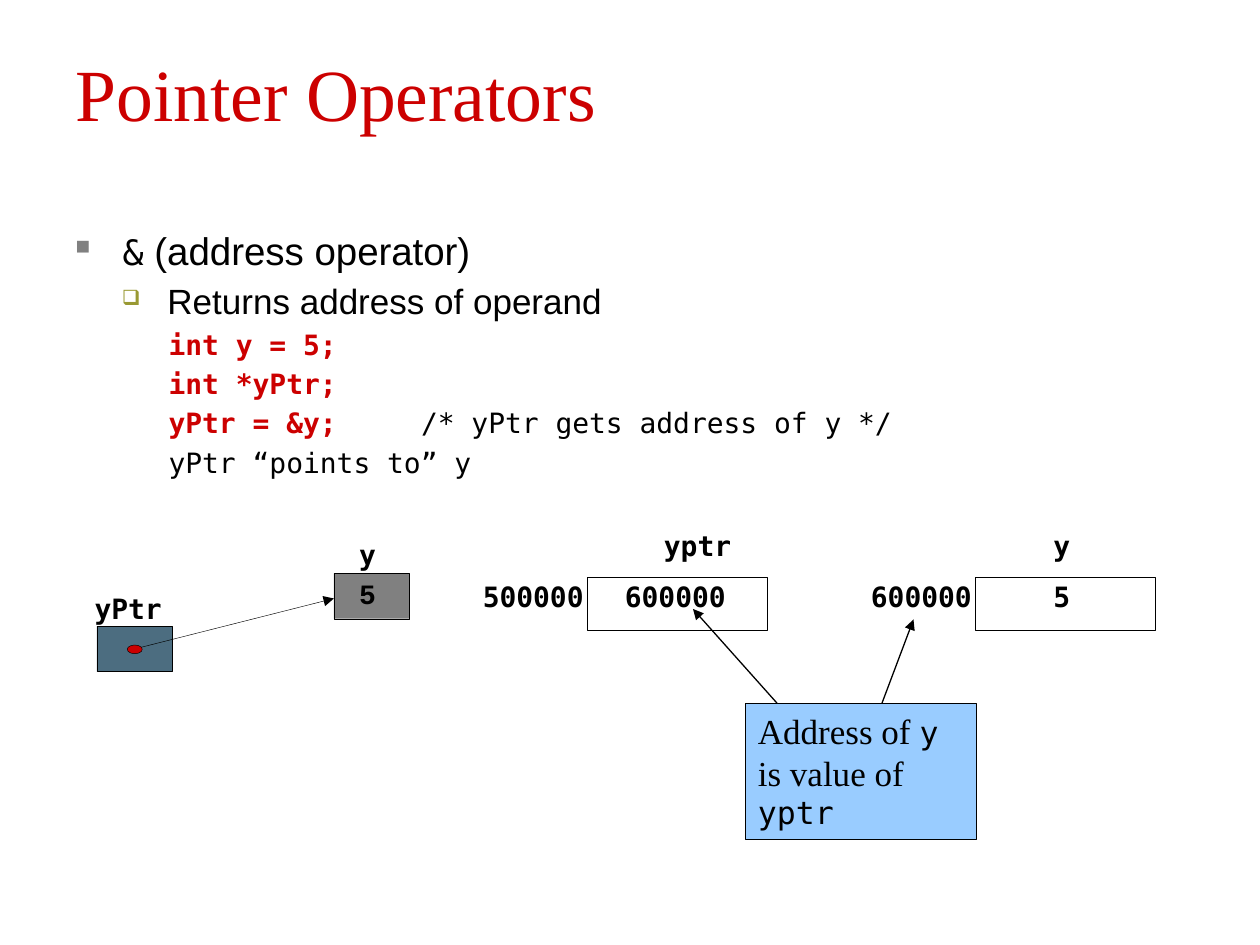
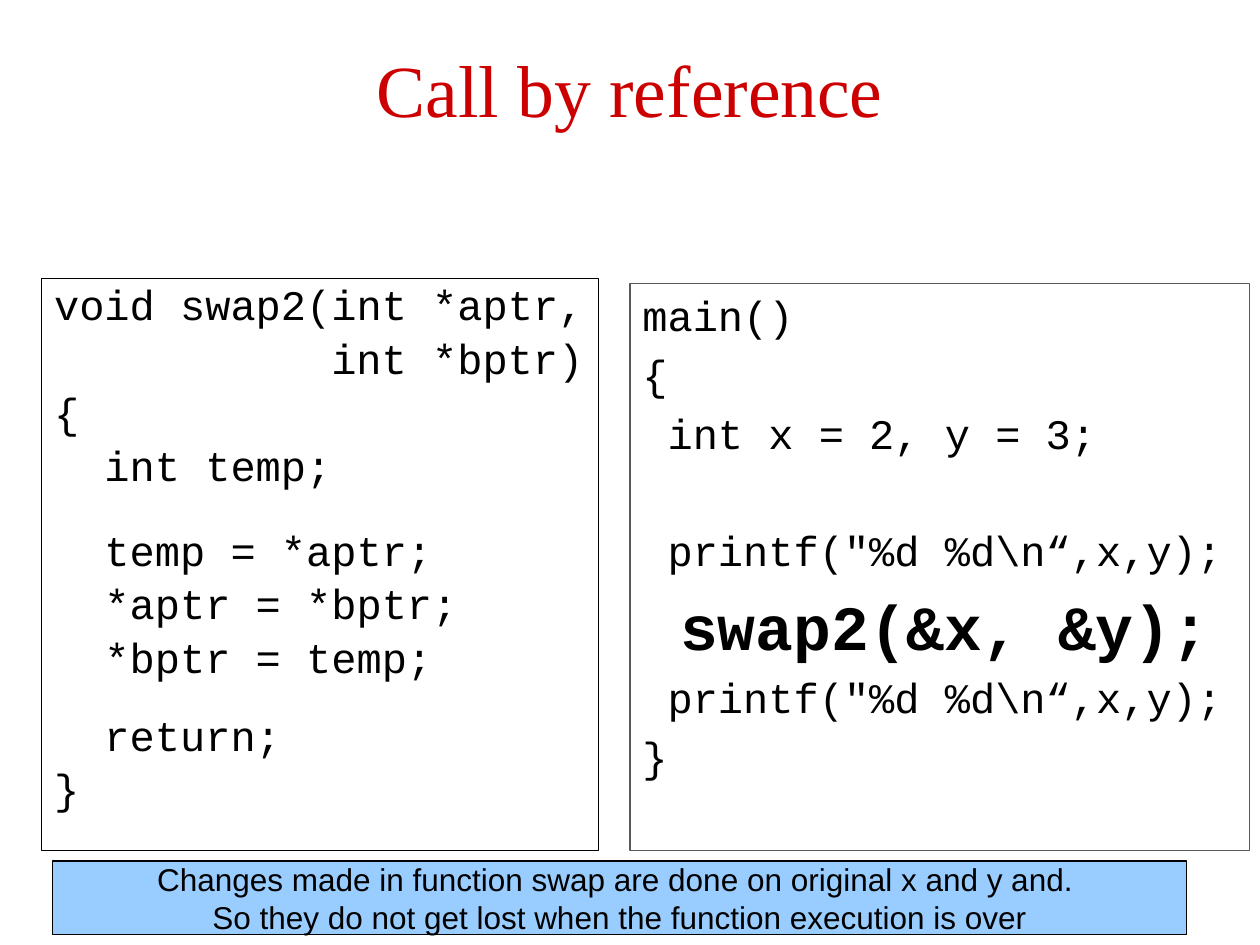
from dataclasses import dataclass
from typing import Optional

from lxml import etree
from pptx import Presentation
from pptx.dml.color import RGBColor
from pptx.enum.shapes import MSO_CONNECTOR, MSO_SHAPE
from pptx.enum.text import MSO_ANCHOR, PP_ALIGN
from pptx.oxml.ns import qn
from pptx.util import Pt

BLACK = RGBColor(0x00, 0x00, 0x00)
RED = RGBColor(0xCC, 0x00, 0x00)
GREY = RGBColor(0x80, 0x80, 0x80)
DARK_GREY = RGBColor(0x59, 0x59, 0x59)
OLIVE = RGBColor(0x99, 0x99, 0x33)
STEEL = RGBColor(0x4C, 0x6D, 0x80)
SKY = RGBColor(0x99, 0xCC, 0xFF)

SANS = "Arial"
SERIF = "Times New Roman"
MONO = "DejaVu Sans Mono"
COURIER = "Courier New"

RECTANGLE = MSO_SHAPE.RECTANGLE
OVAL = MSO_SHAPE.OVAL
STRAIGHT = MSO_CONNECTOR.STRAIGHT
LEFT = PP_ALIGN.LEFT
CENTER = PP_ALIGN.CENTER
TOP = MSO_ANCHOR.TOP
MIDDLE = MSO_ANCHOR.MIDDLE

TITLE_ONLY = 5
CODE_SIZE = 24
CODE_CHARACTER = 14.4
LABEL_CHARACTER = 12
GAP_RATIO = 0.2
HAIRLINE = 0.25
THIN = 0.75


@dataclass
class Span:
    text: str
    font: str
    size: float
    color: RGBColor = BLACK
    bold: bool = False


@dataclass
class Bullet:
    symbol: str
    color: RGBColor
    percent: int


@dataclass
class Para:
    spans: list[Span]
    before: float = 0
    margin: float = 0
    hanging: float = 0
    bullet: Optional[Bullet] = None


@dataclass
class CodeLine:
    text: str
    indent: int = 0
    extra: float = 0
    size: float = CODE_SIZE
    bold: bool = False


@dataclass
class MemoryCell:
    left: float
    address: str
    name: str
    value: str
    name_left: float
    value_left: float


def add_bullet(properties, bullet: Bullet) -> None:
    color = etree.SubElement(properties, qn("a:buClr"))
    etree.SubElement(color, qn("a:srgbClr"), val=str(bullet.color))
    etree.SubElement(properties, qn("a:buSzPct"), val=str(bullet.percent * 1000))
    etree.SubElement(properties, qn("a:buChar"), char=bullet.symbol)


def write(shape, paras: list[Para], *, align=LEFT, anchor=TOP, wrap: bool = True,
          spacing: Optional[float] = None, inset: tuple = (7.2, 3.6, 7.2, 3.6)) -> None:
    """Fill a shape with formatted paragraphs; inset is left, top, right, bottom."""
    frame = shape.text_frame
    frame.word_wrap = wrap
    frame.vertical_anchor = anchor
    (frame.margin_left, frame.margin_top,
     frame.margin_right, frame.margin_bottom) = map(Pt, inset)
    for index, para in enumerate(paras):
        paragraph = frame.paragraphs[0] if index == 0 else frame.add_paragraph()
        paragraph.alignment = align
        paragraph.space_before = Pt(para.before)
        if spacing:
            paragraph.line_spacing = spacing
        properties = paragraph._p.get_or_add_pPr()
        properties.set("marL", str(Pt(para.margin)))
        properties.set("indent", str(Pt(-para.hanging)))
        if para.bullet:
            add_bullet(properties, para.bullet)
        for span in para.spans:
            run = paragraph.add_run()
            run.text = span.text
            run.font.name = span.font
            run.font.size = Pt(span.size)
            run.font.bold = span.bold
            run.font.color.rgb = span.color


def add_text(page, left: float, top: float, width: float, height: float):
    return page.shapes.add_textbox(Pt(left), Pt(top), Pt(width), Pt(height))


def add_box(page, left: float, top: float, width: float, height: float, *,
            kind=RECTANGLE, fill: Optional[RGBColor] = None,
            line: RGBColor = BLACK, weight: float = HAIRLINE):
    box = page.shapes.add_shape(kind, Pt(left), Pt(top), Pt(width), Pt(height))
    box.shadow.inherit = False
    if fill is None:
        box.fill.background()
    else:
        box.fill.solid()
        box.fill.fore_color.rgb = fill
    box.line.color.rgb = line
    box.line.width = Pt(weight)
    return box


def add_arrow(page, start: tuple, end: tuple, weight: float) -> None:
    arrow = page.shapes.add_connector(STRAIGHT, *map(Pt, start + end))
    arrow.line.color.rgb = BLACK
    arrow.line.width = Pt(weight)
    etree.SubElement(arrow.line._get_or_add_ln(), qn("a:tailEnd"), type="triangle")
    etree.SubElement(arrow._element.spPr, qn("a:effectLst"))


def add_label(page, text: str, left: float, top: float, *,
              height: float = 23, spacing: float = 0.8, font: str = MONO) -> None:
    write(add_text(page, left, top, LABEL_CHARACTER * len(text), height),
          [Para([Span(text, font, 16, bold=True)])],
          spacing=spacing, inset=(0, 0, 0, 0))


def add_page(deck, title: str, top: float, align):
    page = deck.slides.add_slide(deck.slide_layouts[TITLE_ONLY])
    shape = page.shapes.title
    shape.left, shape.top, shape.width, shape.height = map(Pt, (36, top, 648, 90))
    write(shape, [Para([Span(title, SERIF, 42, RED)])], align=align)
    return page


def add_memory_cell(page, cell: MemoryCell) -> None:
    add_label(page, cell.name, cell.name_left, 306)
    add_label(page, cell.address, cell.left - 59.6, 334.8)
    add_label(page, cell.value, cell.value_left, 334.8)
    add_box(page, cell.left, 329.8, 103, 30.2)


def add_pointer_sketch(page) -> None:
    """Draw yPtr as a small box whose dot points to the box of y."""
    add_box(page, 55.4, 357.8, 43.2, 26, fill=STEEL)
    add_box(page, 190.8, 327.6, 43.2, 26, fill=GREY)
    add_arrow(page, (77, 370.8), (190.8, 342), HAIRLINE)
    add_box(page, 72.7, 368.6, 8.6, 5, kind=OVAL, fill=RED)
    small = {"height": 15, "spacing": 0.72}
    add_label(page, "yPtr", 54, 342.7, **small)
    add_label(page, "y", 205.2, 311.8, **small)
    add_label(page, "5", 205.2, 334.1, font=COURIER, **small)


def build_operators_page(deck) -> None:
    page = add_page(deck, "Pointer Operators", 23.8, LEFT)
    statements = ["int y = 5;", "int *yPtr;", "yPtr = &y;"]
    code = [Span(text, MONO, 16, RED, True) for text in statements]
    code.append(Span("yPtr “points to” y", MONO, 16))
    body = [
        Para([Span("&", MONO, 20), Span(" (address operator)", SANS, 22)],
             margin=27, hanging=27, bullet=Bullet("■", GREY, 58)),
        Para([Span("Returns address of operand", SANS, 20)], before=20 * GAP_RATIO,
             margin=52.6, hanging=26, bullet=Bullet("❑", OLIVE, 60)),
    ]
    body += [Para([span], before=span.size * GAP_RATIO, margin=53.3) for span in code]
    write(add_text(page, 36, 126, 648, 356.4), body)
    write(add_text(page, 240.6, 231.6, 290, 19),
          [Para([Span("/* yPtr gets address of y */", MONO, 16)])],
          inset=(0, 0, 0, 0))

    add_pointer_sketch(page)
    for cell in (MemoryCell(335.5, "500000", "yptr", "600000", 379.4, 357.1),
                 MemoryCell(557.3, "600000", "y", "5", 602, 602)):
        add_memory_cell(page, cell)

    callout = add_box(page, 426, 401.8, 132, 77.8, fill=SKY, weight=THIN)
    write(callout, [Para([Span("Address of ", SERIF, 20), Span("y", MONO, 18),
                          Span(" is value of ", SERIF, 20), Span("yptr", MONO, 18)])])
    add_arrow(page, (504, 401.8), (522, 354), THIN)
    add_arrow(page, (444, 401.8), (396, 348), THIN)


def add_listing(box, lines: list[CodeLine], spacing: Optional[float] = None) -> None:
    paras = [Para([Span(line.text, COURIER, line.size, bold=line.bold)],
                  before=line.size * GAP_RATIO + line.extra,
                  margin=line.indent * CODE_CHARACTER * line.size / CODE_SIZE)
             for line in lines]
    write(box, paras, spacing=spacing)


def build_reference_page(deck) -> None:
    page = add_page(deck, "Call by reference", 21.6, CENTER)
    add_listing(add_box(page, 23.8, 159, 318.2, 327, weight=THIN), [
        CodeLine("void swap2(int *aptr,"),
        CodeLine("int *bptr)", 11),
        CodeLine("{"),
        CodeLine("int temp;", 2),
        CodeLine("temp = *aptr;", 2, extra=17.5),
        CodeLine("*aptr = *bptr;", 2),
        CodeLine("*bptr = temp;", 2),
        CodeLine("return;", 2, extra=13.6),
        CodeLine("}"),
    ], spacing=0.9)

    print_values = 'printf("%d %d\\n“,x,y);'
    add_listing(add_box(page, 360, 162, 354, 324, line=DARK_GREY, weight=THIN), [
        CodeLine("main()"),
        CodeLine("{"),
        CodeLine("int x = 2, y = 3;", 1),
        CodeLine(print_values, 1, extra=33.4),
        CodeLine("swap2(&x, &y);", 1, size=36, bold=True),
        CodeLine(print_values, 1),
        CodeLine("}"),
    ])

    note = ["Changes made in function swap are done on original x and y and. ",
            "So they do not get lost when the function execution is over"]
    write(add_box(page, 30, 492, 648, 42, fill=SKY, weight=1),
          [Para([Span(text, SANS, 18)]) for text in note],
          align=CENTER, anchor=MIDDLE, wrap=False)


def main() -> None:
    deck = Presentation()
    deck.slide_width, deck.slide_height = Pt(720), Pt(540)
    build_operators_page(deck)
    build_reference_page(deck)
    deck.save("out.pptx")


if __name__ == "__main__":
    main()
